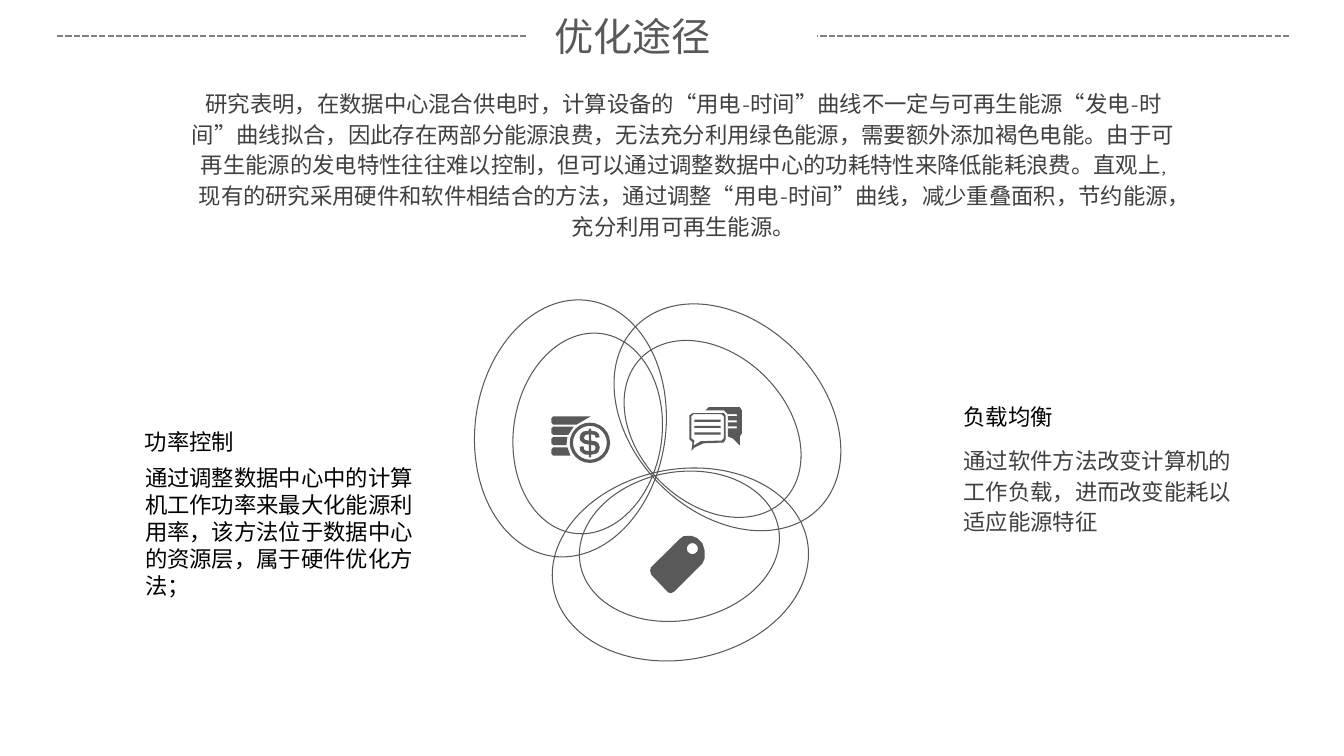
from math import cos, pi, sin

from lxml import etree
from pptx import Presentation
from pptx.dml.color import RGBColor
from pptx.enum.dml import MSO_LINE
from pptx.enum.lang import MSO_LANGUAGE_ID
from pptx.enum.shapes import MSO_CONNECTOR, MSO_SHAPE
from pptx.enum.text import MSO_AUTO_SIZE, PP_ALIGN
from pptx.oxml.ns import qn
from pptx.util import Pt

LEFT, CENTER = PP_ALIGN.LEFT, PP_ALIGN.CENTER
OVAL, DONUT = MSO_SHAPE.OVAL, MSO_SHAPE.DONUT
STRAIGHT = MSO_CONNECTOR.STRAIGHT
SYS_DASH = MSO_LINE.SQUARE_DOT
FIT_SHAPE = MSO_AUTO_SIZE.SHAPE_TO_FIT_TEXT
CHINESE = MSO_LANGUAGE_ID.SIMPLIFIED_CHINESE
CJK_FONT = "Noto Sans CJK SC"
BLACK, BODY, ACCENT, RULE = "000000", "404040", "595959", "808080"


def color(hex_text):
    return RGBColor.from_string(hex_text)


def circle(cx, cy, radius, steps=12):
    turns = [2 * pi * step / steps for step in range(steps)]
    return [(cx + radius * cos(t), cy + radius * sin(t)) for t in turns]


def bar(left, top, right, height):
    return [(left, top), (right, top), (right, top + height), (left, top + height)]


class SlideBuilder:
    def __init__(self, slide):
        self.shapes = slide.shapes

    def text(self, words, left, top, width, height, *, size=16, font="Arial",
             ink=BLACK, align=LEFT, spacing=None, wrap=True):
        box = self.shapes.add_textbox(Pt(left), Pt(top), Pt(width), Pt(height))
        frame = box.text_frame
        frame.word_wrap = wrap
        frame.auto_size = FIT_SHAPE
        paragraph = frame.paragraphs[0]
        paragraph.alignment = align
        paragraph.line_spacing = spacing
        run = paragraph.add_run()
        run.text = words
        run.font.size = Pt(size)
        run.font.color.rgb = color(ink)
        run.font.name = font
        run.font.language_id = CHINESE
        east_asian = etree.Element(qn("a:ea"), typeface=CJK_FONT)
        run.font._element.find(qn("a:latin")).addnext(east_asian)

    def paint(self, shape, fill, line):
        shape.shadow.inherit = False
        if fill:
            shape.fill.solid()
            shape.fill.fore_color.rgb = color(fill)
        else:
            shape.fill.background()
        if line:
            shape.line.color.rgb = color(line)
            shape.line.width = Pt(0.75)
        else:
            shape.line.fill.background()

    def round_shape(self, kind, center, half_width, half_height, *,
                    angle=0, fill=None, line=None):
        x, y = center
        shape = self.shapes.add_shape(kind, Pt(x - half_width), Pt(y - half_height),
                                      Pt(2 * half_width), Pt(2 * half_height))
        shape.rotation = angle
        self.paint(shape, fill, line)
        return shape

    def icon(self, contours, origin):
        """One freeform of several closed contours; nested ones become holes."""
        left, top = origin
        placed = [[((x + left) * 100, (y + top) * 100) for x, y in contour]
                  for contour in contours]
        builder = self.shapes.build_freeform(*placed[0][0], scale=Pt(1) / 100)
        for index, contour in enumerate(placed):
            if index:
                builder.move_to(*contour[0])
            builder.add_line_segments(contour[1:], close=True)
        self.paint(builder.convert_to_shape(), ACCENT, None)

    def dashed_rule(self, start, end, y):
        rule = self.shapes.add_connector(STRAIGHT, Pt(start), Pt(y), Pt(end), Pt(y))
        rule.line.color.rgb = color(RULE)
        rule.line.width = Pt(1.5)
        rule.line.dash_style = SYS_DASH
        etree.SubElement(rule._element.spPr, qn("a:effectLst"))


# Three overlapping rings: outer centre, inner centre, angle of the long axis
RINGS = [
    ((519.6, 298.1), (509, 306.4), 45),
    ((486, 403.2), (485.3, 390.2), -10.4),
    ((407.5, 306), (419.8, 309.6), -82),
]

# Tag icon
TAG = [
    [(13, 41), (0.7, 28.1), (0, 25.2), (0.7, 23), (20.9, 2.9), (23.8, 0.7),
     (29.5, 0.4), (33.8, 2.2), (37.4, 5.8), (38.9, 10.8), (38.9, 16.6),
     (37.4, 20.2), (17.3, 40.3), (15.1, 41.4)],
    circle(30.2, 9.6, 4),
]

# Coin icon: a stack of bars cut to fit round the coin, and its sign
COIN_CENTER = (421.4, 316.3)
BAR_ENDS = [(28.2, 18), (16, 12.2), (11.5, 10.8), (11.5, 13.7)]
BARS = [
    [(1.4, y), (top_end, y), (low_end, y + 5.9), (1.4, y + 5.9),
     (0, y + 4.5), (0, y + 1.4)]
    for y, (top_end, low_end) in zip((0, 7.4, 14.7, 22.1), BAR_ENDS)
]
DOLLAR = [
    [(0.8, -10.2), (0.8, -8.7), (4.2, -8.1), (6.2, -6.6), (7, -3.9),
     (4.1, -3.7), (3.4, -5.6), (0.8, -6.1), (0.8, -1.6), (4.2, -1), (6.2, 0.5),
     (7.1, 3.3), (6.3, 6.1), (4.8, 7.7), (0.8, 8.5), (0.8, 10.4), (-0.8, 10.4),
     (-0.8, 8.5), (-3.8, 8.3), (-6.8, 6.1), (-7.4, 2.7), (-4.5, 2.5),
     (-4.2, 4.7), (-3, 5.6), (-0.8, 6), (-0.8, 1.2), (-3.8, 0.6), (-5.6, -0.4),
     (-6.9, -1.8), (-7.3, -3.9), (-6.5, -6.6), (-4.6, -8.1), (-0.8, -8.7),
     (-0.8, -10.2)],
    [(-0.8, -6.1), (-3, -5.7), (-4.3, -3.9), (-3.6, -2.2), (-0.8, -1.5)],
    [(0.8, 1.4), (0.8, 6), (3.4, 5.4), (4.1, 3.3), (3.4, 1.9)],
]

# Chat icon: back bubble, front bubble and its inside, then the text lines
CHAT = [
    [(27.4, 20.9), (31, 22.3), (36, 27.4), (36, 20.9), (37.4, 18.7),
     (37.4, 2.2), (36, 0), (13.7, 0), (11.5, 2.2), (24.5, 2.2), (27.4, 5)],
    [(25.9, 23), (24.5, 25.2), (10, 25.8), (3.6, 28.8), (1.4, 31), (2.2, 25.2),
     (0, 23), (0, 5.8), (2.2, 4.3), (24.5, 4.3), (25.9, 5.8)],
    [(2.9, 27.4), (3.6, 23.8), (1.4, 22.3), (1.4, 6.5), (2.9, 5), (23, 5),
     (24.5, 6.5), (24.5, 22.3), (23, 23.8), (8, 24.3)],
]
CHAT += [bar(27.4, y, 33.8, 1.4) for y in (5, 9.4, 13.7)]
CHAT += [bar(3.6, y, 22.3, 1.5) for y in (8.9, 13.3, 18)]


def main():
    deck = Presentation()
    deck.slide_width, deck.slide_height = Pt(960), Pt(540)
    page = SlideBuilder(deck.slides.add_slide(deck.slide_layouts[6]))

    # Rings
    for outer, inner, angle in RINGS:
        page.round_shape(OVAL, outer, 92.2, 68, angle=angle, line=ACCENT)
        page.round_shape(OVAL, inner, 72, 53, angle=angle, line=ACCENT)

    # Icons
    page.icon(TAG, (464.4, 382.3))
    page.icon(BARS, (393.8, 297.4))
    coin = page.round_shape(DONUT, COIN_CENTER, 14.4, 14.4, fill=ACCENT)
    coin.adjustments[0] = 0.08
    page.icon(DOLLAR, COIN_CENTER)
    page.icon(CHAT, (492.5, 290.9))

    # Power control
    page.text("功率控制", 96.5, 302.4, 127.4, 26.6)
    page.text("通过调整数据中心中的计算机工作功率来最大化能源利用率，"
              "该方法位于数据中心的资源层，属于硬件优化方法；",
              96.5, 328.3, 208.1, 104.4)

    # Introduction
    page.text("研究表明，在数据中心混合供电时，计算设备的“用电-时间”曲线"
              "不一定与可再生能源“发电-时间”曲线拟合，因此存在两部分能源浪费，"
              "无法充分利用绿色能源，需要额外添加褐色电能。由于可再生能源的发电"
              "特性往往难以控制，但可以通过调整数据中心的功耗特性来降低能耗浪费。"
              "直观上, 现有的研究采用硬件和软件相结合的方法，通过调整“用电-时间”"
              "曲线，减少重叠面积，节约能源，充分利用可再生能源。",
              128.9, 58.3, 718.6, 117.4,
              font="Quicksand", ink=BODY, align=CENTER, spacing=1.14)

    # Load balancing
    page.text("负载均衡", 681.1, 284.4, 127.4, 26.6)
    page.text("通过软件方法改变计算机的工作负载，进而改变能耗以适应能源特征",
              681.1, 313.2, 208.1, 73.4, font=CJK_FONT, ink=BODY, spacing=1.14)

    # Title between two dashed rules
    page.text("优化途径", 388.8, 5, 126.7, 41, size=28, ink=ACCENT, wrap=False)
    page.dashed_rule(920.9, 583.9, 25.9)
    page.dashed_rule(375.8, 39.6, 25.9)

    deck.save("out.pptx")


if __name__ == "__main__":
    main()
